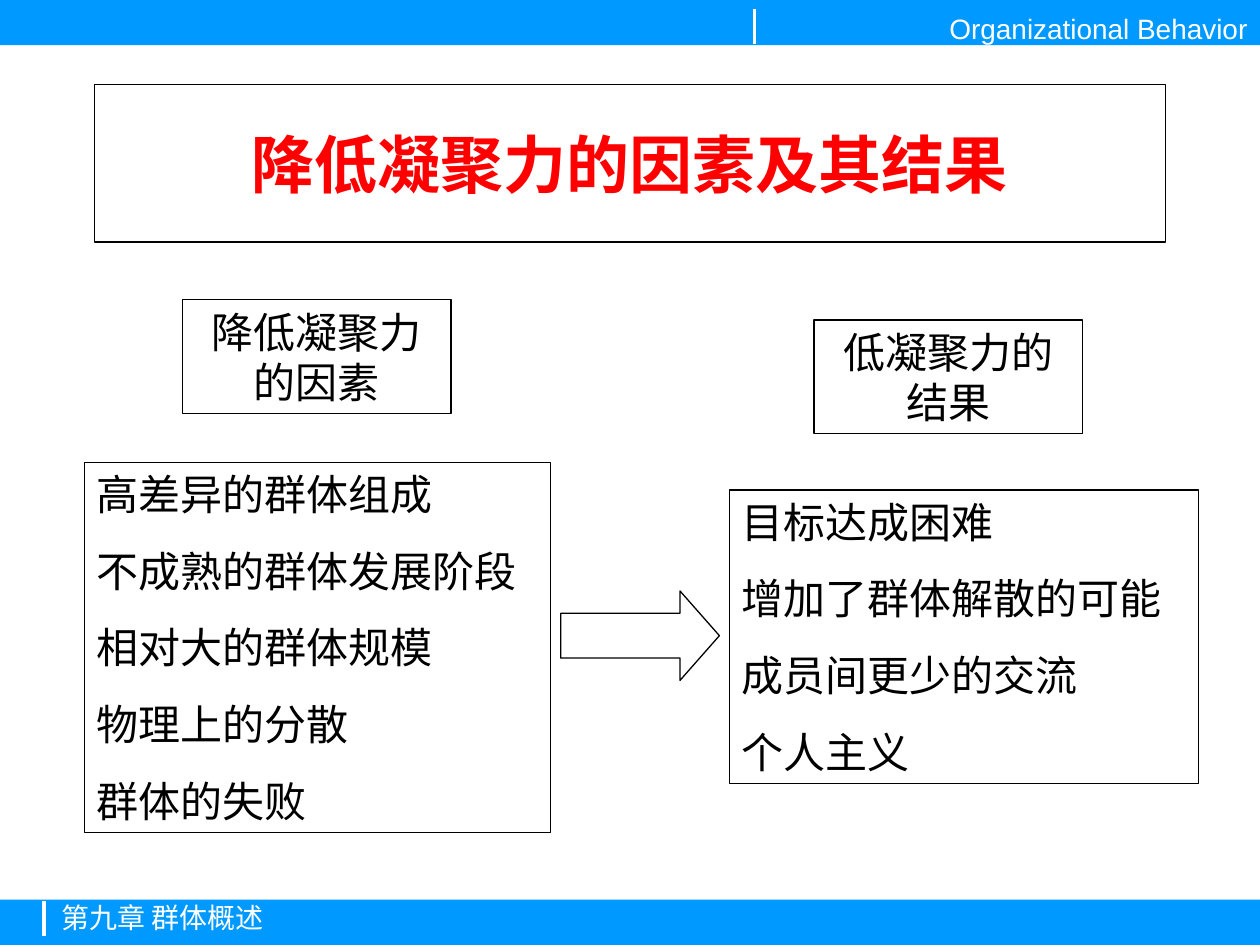
import pptx
import pptx.util
import pptx.dml.color
import pptx.enum.shapes
import pptx.enum.text
import pptx.oxml.ns
import lxml.etree

Inches = pptx.util.Inches
Shapes = pptx.enum.shapes.MSO_SHAPE
Align = pptx.enum.text.PP_ALIGN
Anchor = pptx.enum.text.MSO_ANCHOR
COLORS = {
    name: pptx.dml.color.RGBColor.from_string(value)
    for name, value in {
        "band": "0099FF", "white": "FFFFFF", "black": "000000", "title": "FF0000",
    }.items()
}

presentation = pptx.Presentation()
presentation.slide_width = Inches(10)
presentation.slide_height = Inches(7.5)
slide = presentation.slides.add_slide(presentation.slide_layouts[6])
column = presentation.slide_width / 100
row = presentation.slide_height / 75


def add_box(area, fill=None, outline=None, preset=Shapes.RECTANGLE):
    left, top, width, height = area
    shape = slide.shapes.add_shape(
        preset, int(left * column), int(top * row), int(width * column), int(height * row))
    shape.shadow.inherit = False
    if fill:
        shape.fill.solid()
        shape.fill.fore_color.rgb = COLORS[fill]
    else:
        shape.fill.background()
    if outline:
        shape.line.color.rgb = COLORS[outline]
        shape.line.width = pptx.util.Pt(0.75)
    else:
        shape.line.fill.background()
    return shape


def write(shape, lines, size, color, align, anchor, insets=(0.1, 0.05, 0.1, 0.05), bold=False):
    frame = shape.text_frame
    frame.word_wrap = True
    frame.vertical_anchor = anchor
    frame.margin_left, frame.margin_top, frame.margin_right, frame.margin_bottom = map(Inches, insets)
    frame.text = "\n".join(lines)
    for index, paragraph in enumerate(frame.paragraphs):
        paragraph.alignment = align
        if index:
            paragraph.space_before = pptx.util.Pt(15)
        for run in paragraph.runs:
            run.font.name = "Arial"
            run.font.size = pptx.util.Pt(size)
            run.font.bold = bold
            run.font.color.rgb = COLORS[color]


bands = [
    (0, "Organizational Behavior", Align.RIGHT, (0.1, 0.14, 0.1, 0.05), 59.9, 0.7),
    (71.4, "第九章 群体概述", Align.LEFT, (0.49, 0.01, 0.1, 0.09), 3.5, 71.5),
]
for top, label, align, insets, mark_x, mark_top in bands:
    band = add_box((0, top, 100, 3.6), fill="band")
    write(band, [label], 16, "white", align, Anchor.MIDDLE, insets)
    mark = slide.shapes.add_connector(
        pptx.enum.shapes.MSO_CONNECTOR.STRAIGHT,
        int(mark_x * column), int((mark_top + 2.8) * row), int(mark_x * column), int(mark_top * row))
    mark.line.color.rgb = COLORS["white"]
    mark.line.width = pptx.util.Pt(2)
    lxml.etree.SubElement(mark._element.spPr, pptx.oxml.ns.qn("a:effectLst"))

title = add_box((7.5, 6.7, 85, 12.5), outline="black")
write(title, ["降低凝聚力的因素及其结果"], 36, "title", Align.CENTER, Anchor.MIDDLE, bold=True)

panels = [
    ((14.5, 23.8, 21.3, 9), Align.CENTER, ["降低凝聚力的因素"]),
    ((64.6, 25.4, 21.3, 9), Align.CENTER, ["低凝聚力的结果"]),
    ((6.7, 36.7, 37, 29.4), Align.LEFT,
     ["高差异的群体组成", "不成熟的群体发展阶段", "相对大的群体规模", "物理上的分散", "群体的失败"]),
    ((57.9, 38.9, 37.2, 23.3), Align.LEFT,
     ["目标达成困难", "增加了群体解散的可能", "成员间更少的交流", "个人主义"]),
]
for area, align, lines in panels:
    write(add_box(area, outline="black"), lines, 24, "black", align, Anchor.TOP)

arrow = add_box((44.5, 46.9, 12.6, 7.1), "white", "black", Shapes.RIGHT_ARROW)
arrow.adjustments[0] = 0.5
arrow.adjustments[1] = 0.44

presentation.save("out.pptx")
